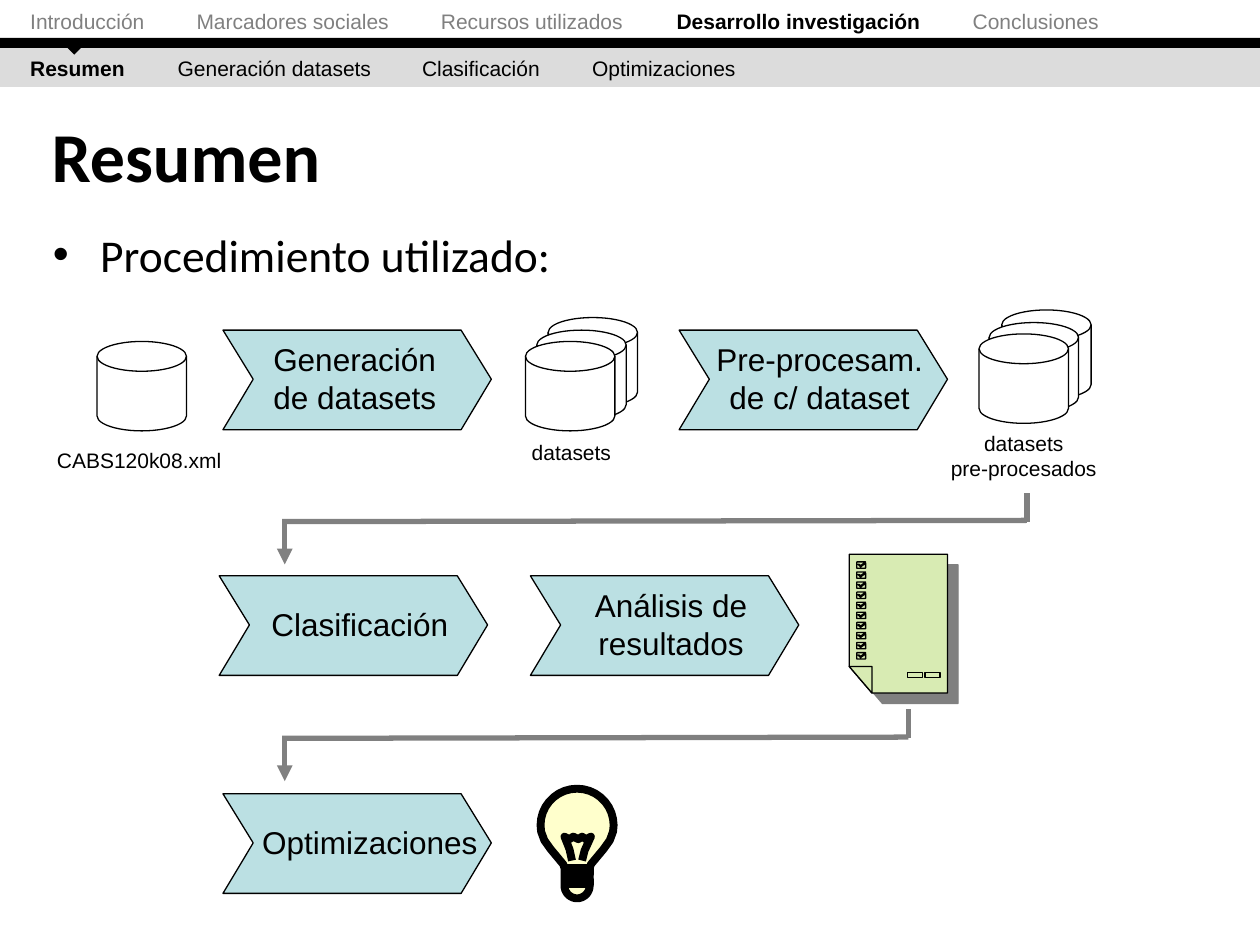
from math import cos, radians, sin

from lxml.etree import SubElement
from pptx import Presentation
from pptx.dml.color import RGBColor
from pptx.enum.shapes import MSO_CONNECTOR, MSO_SHAPE
from pptx.enum.text import MSO_ANCHOR, PP_ALIGN
from pptx.oxml.ns import qn
from pptx.util import Inches, Pt

BLACK, GREY, WHITE = "000000", "808080", "FFFFFF"
TITLE = "Resumen"
BULLET = "Procedimiento utilizado:"

MENUS = [
    (0.02, "Desarrollo investigación", GREY,
     [("Introducción", 0), ("Marcadores sociales", 1.32), ("Recursos utilizados", 3.26),
      ("Desarrollo investigación", 5.13), ("Conclusiones", 7.48)]),
    (0.39, "Resumen", BLACK,
     [("Resumen", 0), ("Generación datasets", 1.17), ("Clasificación", 3.11),
      ("Optimizaciones", 4.46)]),
]
STEPS = [
    (1.77, 2.62, "Generación\vde datasets", 1.04, 2),
    (5.39, 2.62, "Pre-procesam.\vde c/ dataset", 1.11, 2),
    (1.74, 4.57, "Clasificación", 1.11, 1),
    (4.21, 4.57, "Análisis de resultados", 1.11, 2),
    (1.77, 6.3, "Optimizaciones", 1.16, 1),
]
STORES = [
    ([(0.77, 2.71)], None, "CABS120k08.xml", 0.28, 3.5, 0.3),
    ([(4.35, 2.52), (4.26, 2.62), (4.17, 2.71)], WHITE, "datasets", 3.71, 3.44, 0.3),
    ([(7.95, 2.46), (7.85, 2.56), (7.77, 2.65)], WHITE,
     "datasets\vpre-procesados", 7.3, 3.37, 0.5),
]
ROUTES = [(8.15, 4.14), (7.21, 5.86)]

ARROW = [(0, 0), (1.89, 0), (2.13, 0.39), (1.89, 0.79), (0, 0.79), (0.24, 0.39)]
PAGE = [(6.74, 4.4), (7.52, 4.4), (7.52, 5.5), (6.92, 5.5), (6.74, 5.29)]
FOLD = [(6.74, 5.29), (6.92, 5.29), (6.92, 5.5)]
FIELD = [(0, 0), (0.12, 0), (0.12, 0.04), (0, 0.04)]
TICK = [(0, 0), (0.07, 0), (0.03, 0.03), (0.02, 0.02), (0.01, 0.02),
        (0.03, 0.04), (0.07, 0.01), (0.07, 0.05), (0, 0.05)]
NECK = [(0.26, 6.67), (0.21, 6.74), (0.11, 6.86), (0.1, 6.89)]
WIRE = [(4.54, 6.83), (4.52, 6.74), (4.48, 6.64), (4.52, 6.66), (4.55, 6.64), (4.59, 6.66),
        (4.62, 6.64), (4.65, 6.66), (4.69, 6.64), (4.64, 6.75), (4.62, 6.83)]
SCREW = [(4.48, 6.89), (4.68, 6.89), (4.68, 6.94), (4.48, 6.94),
         (4.48, 6.98), (4.68, 6.98), (4.68, 7.02), (4.49, 7.02)]

prs = Presentation()
prs.slide_width, prs.slide_height = Inches(10), Inches(7.5)
slide = prs.slides.add_slide(prs.slide_layouts[1])
shapes = slide.shapes


def tint(hue):
    return RGBColor.from_string(hue)


def place(shape, *spot):
    shape.left, shape.top, shape.width, shape.height = map(Inches, spot)


def paint(shape, fill=None, line=None, width=0.75):
    shape.shadow.inherit = False
    for part, hue in ((shape.fill, fill), (shape.line.fill, line)):
        if hue:
            part.solid()
            part.fore_color.rgb = tint(hue)
        else:
            part.background()
    if line:
        shape.line.width = Pt(width)
    return shape


def form(kind, spot, fill=None, line=None):
    return paint(shapes.add_shape(kind, *map(Inches, spot)), fill, line)


def style(font, size, name="Arial", hue=BLACK, bold=False):
    font.size, font.name, font.bold = Pt(size), name, bold
    font.color.rgb = tint(hue)


def label(spot, text, size):
    frame = shapes.add_textbox(*map(Inches, spot)).text_frame
    frame.word_wrap = True
    par = frame.paragraphs[0]
    par.text = text
    par.alignment = PP_ALIGN.CENTER
    for run in par.runs:
        style(run.font, size)


def shift(points, x, y):
    return [(x + dx, y + dy) for dx, dy in points]


def draw(paths, fill, line=BLACK, width=0.75, close=True):
    pen = None
    for path in paths:
        first, *rest = [(Inches(x), Inches(y)) for x, y in path]
        if pen:
            pen.move_to(*first)
        else:
            pen = shapes.build_freeform(*first)
        pen.add_line_segments(rest, close=close)
    return paint(pen.convert_to_shape(), fill, line, width)


def link(start, end, head=False):
    wire = shapes.add_connector(MSO_CONNECTOR.STRAIGHT, *map(Inches, start + end))
    wire.line.color.rgb, wire.line.width = tint(GREY), Pt(3)
    if head:
        SubElement(wire.line._get_or_add_ln(), qn("a:tailEnd"), type="triangle")
    SubElement(wire._element.spPr, qn("a:effectLst"))


def menu(top, chosen, hue, items):
    frame = shapes.add_textbox(*map(Inches, (0, top, 9.77, 0.3))).text_frame
    frame.word_wrap, frame.margin_left = True, Inches(0.24)
    par = frame.paragraphs[0]
    tabs = SubElement(par._p.get_or_add_pPr(), qn("a:tabLst"))
    for text, stop in items:
        run = par.add_run()
        run.text = text
        if stop:
            run.text = "\t" + text
            SubElement(tabs, qn("a:tab"), pos=str(Inches(stop)), algn="l")
        live = text == chosen
        style(run.font, 12, hue=BLACK if live else hue, bold=live)


def arc(radius, mid, start, end):
    return [(radius * cos(radians(a)), mid + radius * sin(radians(a)))
            for a in range(start, end + 1, 10)]


form(MSO_SHAPE.RECTANGLE, (0, 0.37, 10, 0.32), "DCDCDC")
form(MSO_SHAPE.RECTANGLE, (0, 0.3, 10, 0.08), BLACK)
for entry in MENUS:
    menu(*entry)
form(MSO_SHAPE.RIGHT_TRIANGLE, (0.51, 0.24, 0.16, 0.16), BLACK).rotation = 315

title, body = slide.placeholders
place(title, 0.31, 0.86, 9.61, 0.74)
place(body, 0.32, 1.75, 9.37, 5.67)
title.text_frame.vertical_anchor = MSO_ANCHOR.MIDDLE
for holder, text, size, bold in ((title, TITLE, 40, True), (body, BULLET, 26, False)):
    holder.text_frame.text = text
    par = holder.text_frame.paragraphs[0]
    par.alignment, par.space_before = PP_ALIGN.LEFT, Pt(0)
    style(par.runs[0].font, size, "Calibri", bold=bold)

for x, y, text, mid, rows in STEPS:
    draw([shift(ARROW, x, y)], "BBE0E3")
    tall = 0.1 + 0.3 * rows
    label((x + mid - 1.02, y + 0.38 - tall / 2, 2.05, tall), text, 18)

for disks, fill, text, x, y, tall in STORES:
    for spot in disks:
        form(MSO_SHAPE.FLOWCHART_MAGNETIC_DISK, spot + (0.71, 0.71), fill, BLACK)
    label((x, y, 1.65, tall), text, 12)

for x, y in ROUTES:
    link((2.24, y), (x, y - 0.01))
    link((x, y), (x, y - 0.23))
    link((2.26, y + 0.01), (2.26, y + 0.34), head=True)

page = draw([PAGE], "D8EBB3")
effects = page._element.spPr.find(qn("a:effectLst"))
shade = SubElement(effects, qn("a:outerShdw"), dist=str(Pt(8.5)), dir="2700000",
                   algn="tl", rotWithShape="0")
SubElement(shade, qn("a:srgbClr"), val=GREY)
fields = [shift(FIELD, x, 5.34) for x in (7.2, 7.34)]
ticks = [shift(TICK, 6.8, 4.46 + 0.08 * row) for row in range(10)]
draw([FOLD] + fields + ticks, "D8EBB3")

half = arc(0.29, 6.55, -90, 10) + NECK + arc(0.1, 7.03, 0, 90)
bulb = half + [(-x, y) for x, y in reversed(half)]
draw([shift(bulb, 4.58, 0)], "FFFFCC", width=4.5)
draw([WIRE, SCREW], None, width=4.5, close=False)

prs.save("out.pptx")
